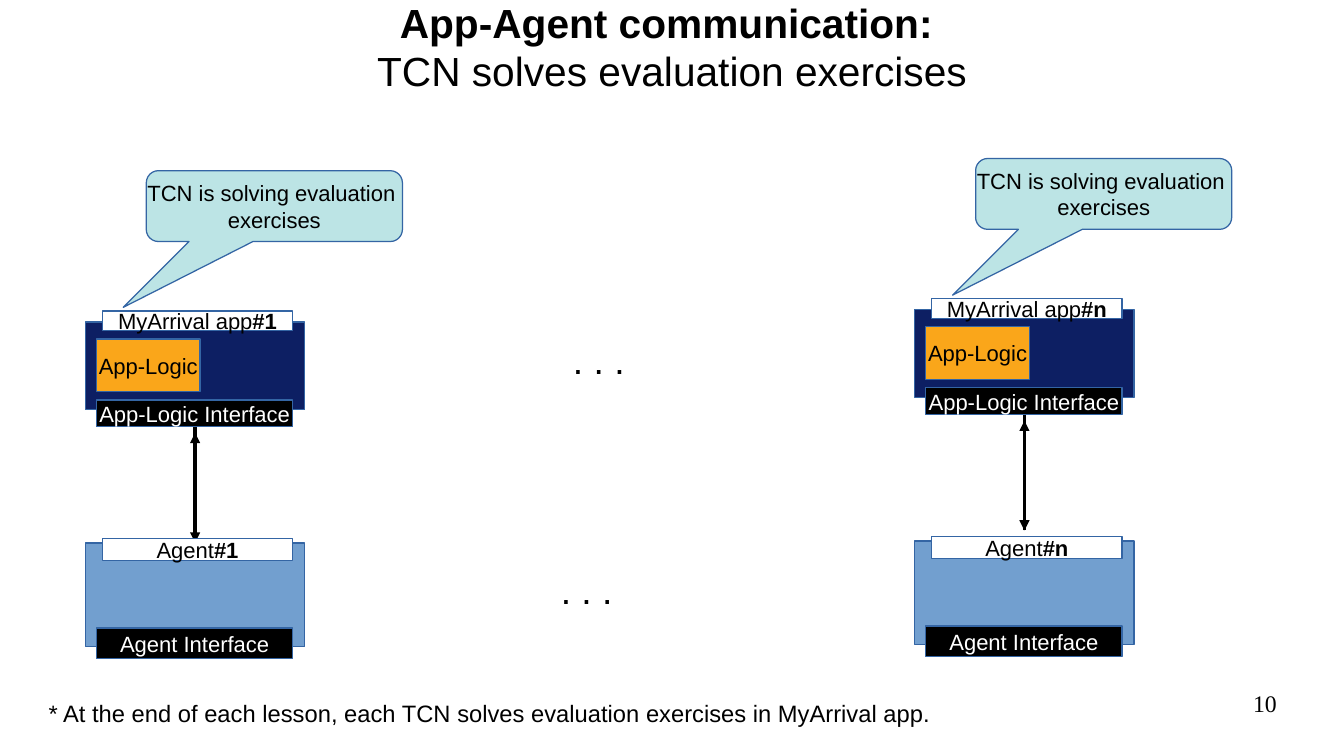
from dataclasses import dataclass

from lxml import etree
from pptx import Presentation
from pptx import util as u
from pptx.dml.color import RGBColor
from pptx.enum import shapes as sh, text as tx
from pptx.oxml import ns


@dataclass(frozen=True)
class Theme:
    """Hold the colours, fonts and type sizes."""
    black: str = "000000"
    white: str = "FFFFFF"
    edge: str = "3465A4"
    navy: str = "0D1F63"
    gold: str = "FAA61A"
    aqua: str = "BCE4E5"
    blue: str = "729FCF"
    sans: str = "Arial"
    serif: str = "Times New Roman"
    label: int = 13
    note: int = 14
    dots: int = 22
    title: int = 24


T = Theme()
RECT = sh.MSO_SHAPE.RECTANGLE
BUBBLE = sh.MSO_SHAPE.ROUNDED_RECTANGULAR_CALLOUT
LEFT, MID, RIGHT = tx.PP_ALIGN.LEFT, tx.PP_ALIGN.CENTER, tx.PP_ALIGN.RIGHT


def write(frame, parts, size, ink=T.black, face=T.sans, align=MID):
    """Fill a frame with one paragraph of (text, bold) parts."""
    para = frame.paragraphs[0]
    para.alignment = align
    para.font.size, para.font.name = u.Pt(size), face
    para.font.color.rgb = RGBColor.from_string(ink)
    for words, bold in parts:
        for row, line in enumerate(words.split("\n")):
            if row:
                para.add_line_break()
            if line:
                run = para.add_run()
                run.text = line
                if bold:
                    run.font.bold = True


def block(slide, x, y, w, h, fill, parts=(), ink=T.black, kind=RECT):
    """Add a filled shape with a thin edge and a centred label."""
    shape = slide.shapes.add_shape(kind, u.Pt(x), u.Pt(y), u.Pt(w), u.Pt(h))
    shape.shadow.inherit = False
    shape.fill.solid()
    shape.fill.fore_color.rgb = RGBColor.from_string(fill)
    shape.line.color.rgb = RGBColor.from_string(T.edge)
    shape.line.width = u.Pt(0)
    if parts:
        frame = shape.text_frame
        frame.word_wrap = False
        frame.vertical_anchor = tx.MSO_ANCHOR.MIDDLE
        write(frame, parts, T.label, ink)
    return shape


def note(slide, x, y, w, h, parts, size, align=LEFT, face=T.sans, wrap=True, pad=True):
    """Add a free text box and return its frame."""
    frame = slide.shapes.add_textbox(u.Pt(x), u.Pt(y), u.Pt(w), u.Pt(h)).text_frame
    frame.word_wrap = wrap
    if not pad:
        frame.margin_left = frame.margin_right = 0
        frame.margin_top = frame.margin_bottom = 0
    write(frame, parts, size, face=face, align=align)
    return frame


def arrow(slide, x, start, end):
    """Add an upright hairline with a triangle at its end."""
    line = slide.shapes.add_connector(
        sh.MSO_CONNECTOR.STRAIGHT, u.Pt(x), u.Pt(start), u.Pt(x), u.Pt(end))
    line.line.color.rgb = RGBColor.from_string(T.black)
    line.line.width = u.Pt(0)
    etree.SubElement(line.line._get_or_add_ln(), ns.qn("a:tailEnd"), type="triangle")
    etree.SubElement(line._element.spPr, ns.qn("a:effectLst"))


def app(slide, x, y, tag):
    """Draw an app with its parts, its speech bubble and its link."""
    block(slide, x, y, 129.6, 51.84, T.navy)
    block(slide, x + 10.1, y - 6.5, 112.3, 11.5, T.white,
          [("MyArrival app", False), (tag, True)])
    block(slide, x + 6.5, y + 10.1, 61.2, 31, T.gold, [("App-Logic", False)])
    block(slide, x + 6.5, y + 46.1, 115.9, 15.8, T.black,
          [("App-Logic Interface", False)], T.white)
    bubble = block(slide, x + 36, y - 89.3, 151.2, 41.8, T.aqua,
                   [("TCN is solving evaluation \nexercises", False)], kind=BUBBLE)
    for slot, value in enumerate((-0.59, 1.43, 0.17)):
        bubble.adjustments[slot] = value
    arrow(slide, x + 64.8, y + 61.9, y + 130.3)
    arrow(slide, x + 64.8, y + 130.3, y + 65.5)


def agent(slide, x, y, tag):
    """Draw an agent with its name and interface."""
    block(slide, x, y, 129.6, 61.2, T.blue)
    block(slide, x + 10.1, y - 2.5, 112.3, 13, T.white,
          [("Agent", False), (tag, True)])
    block(slide, x + 6.5, y + 50.2, 115.9, 18, T.black,
          [("Agent Interface", False)], T.white)


def main():
    """Build the slide and save it."""
    deck = Presentation()
    deck.slide_width, deck.slide_height = u.Pt(793.44), u.Pt(446.4)
    slide = deck.slides.add_slide(deck.slide_layouts[6])
    head = note(slide, 39.6, -2.9, 714.2, 60.5,
                [("App-Agent communication: \n", True),
                 ("TCN solves evaluation exercises", False)],
                T.title, MID, pad=False)
    head.vertical_anchor = tx.MSO_ANCHOR.MIDDLE
    for x, y in ((324, 331.2), (331.2, 195.8)):
        note(slide, x, y, 50.4, 41.8, [(". . .", False)], T.dots)
    for x, top, base, tag in ((50.4, 190.1, 320.6, "#1"), (540, 182.9, 319.4, "#n")):
        app(slide, x, top, tag)
        agent(slide, x, base, tag)
    note(slide, 21.6, 409, 558.7, 23,
         [("* At the end of each lesson, each TCN solves evaluation exercises"
           " in MyArrival app. ", False)], T.note, wrap=False)
    note(slide, 568.8, 406.8, 185, 31, [("10", False)], T.note, RIGHT, T.serif, pad=False)
    deck.save("out.pptx")


main()
